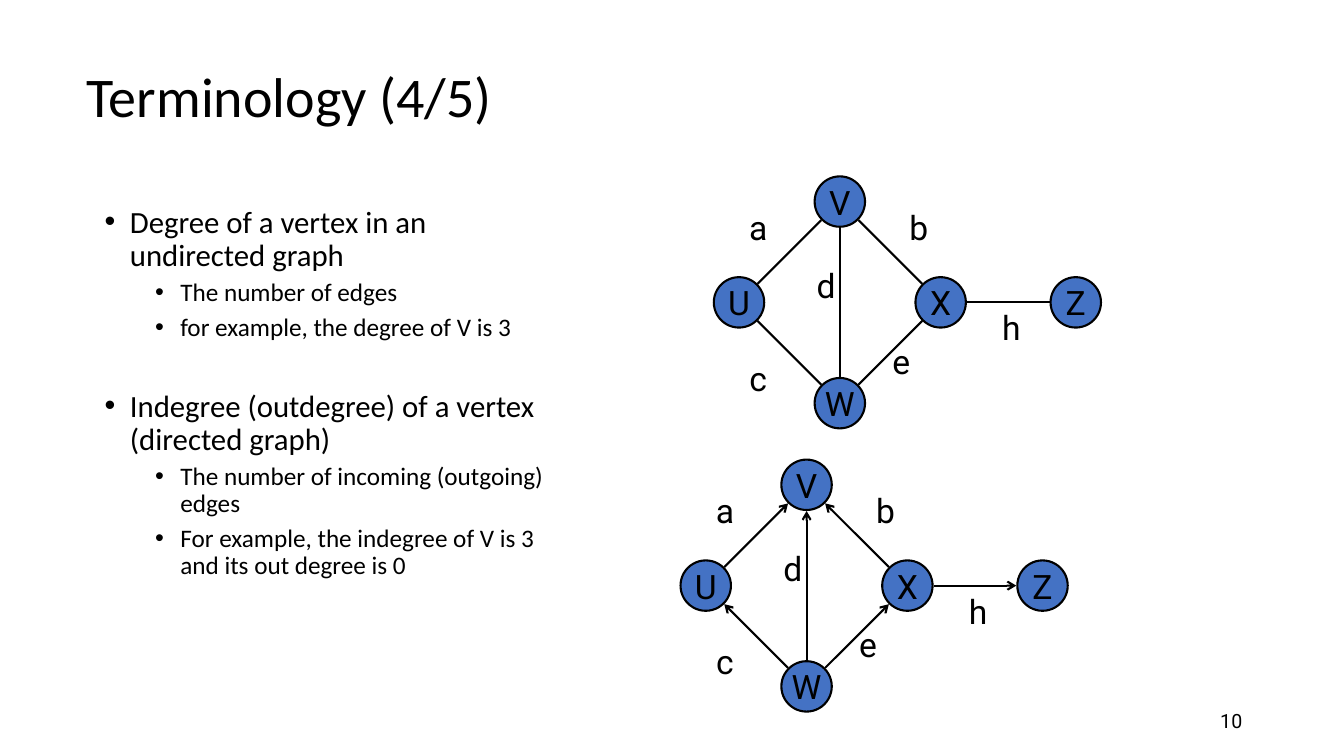
from math import hypot

from lxml.etree import SubElement
from pptx import Presentation
from pptx.dml.color import RGBColor
from pptx.enum.shapes import MSO_CONNECTOR, MSO_SHAPE
from pptx.enum.text import MSO_ANCHOR, MSO_AUTO_SIZE, PP_ALIGN
from pptx.oxml.ns import qn
from pptx.util import Inches, Pt

BLACK = RGBColor(0x00, 0x00, 0x00)
WHITE = RGBColor(0xFF, 0xFF, 0xFF)
BLUE = RGBColor(0x44, 0x72, 0xC4)

DIAMETER = 0.5
EDGE_GAP = 0.26  # from a vertex centre to the end of an edge

# Offsets in inches from the top left corner of each graph
VERTICES = {"X": (2, 1), "U": (0, 1), "V": (1, 0), "W": (1, 2), "Z": (3.34, 1)}
# Label, source vertex, target vertex, label offset
EDGES = [
    ("a", "U", "V", (0.25, 0.25)),
    ("c", "W", "U", (0.25, 1.75)),
    ("b", "X", "V", (1.84, 0.25)),
    ("e", "W", "X", (1.67, 1.58)),
    ("d", "W", "V", (0.92, 0.83)),
    ("h", "X", "Z", (2.76, 1.25)),
]
# Left, top, directed
GRAPHS = [(7.08, 1.75, False), (6.75, 4.56, True)]

# Level, space before in points, text
BULLETS = [
    (0, 0, "Degree of a vertex in an undirected graph"),
    (1, 5, "The number of edges"),
    (1, 5, "for example, the degree of V is 3"),
    (0, 35, "Indegree (outdegree) of a vertex (directed graph)"),
    (1, 5, "The number of incoming (outgoing) edges"),
    (1, 5, "For example, the indegree of V is 3 and its out degree is 0"),
]


def write(paragraph, text, size, font="Roboto", align=PP_ALIGN.CENTER):
    paragraph.alignment = align
    span = paragraph.add_run()
    span.text = text
    span.font.size = Pt(size)
    span.font.name = font
    span.font.color.rgb = BLACK


def add_label(page, left, top, width, height):
    box = page.shapes.add_textbox(
        Inches(left), Inches(top), Inches(width), Inches(height))
    box.text_frame.word_wrap = True
    return box.text_frame


deck = Presentation()
deck.slide_width = Inches(13.33)
deck.slide_height = Inches(7.5)
page = deck.slides.add_slide(deck.slide_layouts[5])
page.background.fill.solid()
page.background.fill.fore_color.rgb = WHITE

# Title
title = page.shapes.title
title.left, title.top = Inches(0.76), Inches(0.36)
title.width, title.height = Inches(5.41), Inches(1.25)
title.text_frame.vertical_anchor = MSO_ANCHOR.MIDDLE
title.text_frame.auto_size = MSO_AUTO_SIZE.NONE
heading = title.text_frame.paragraphs[0]
heading.line_spacing = 0.9
write(heading, "Terminology (4/5)", 40, "Calibri", PP_ALIGN.LEFT)

# Definitions
definitions = add_label(page, 0.94, 2, 4.58, 4.83)
for index, (level, space, text) in enumerate(BULLETS):
    para = definitions.add_paragraph() if index else definitions.paragraphs[0]
    para.level = level
    para.line_spacing = 0.9
    para.space_before = Pt(space)
    write(para, text, 18 if level else 22, "Calibri", PP_ALIGN.LEFT)
    properties = para._p.get_or_add_pPr()
    properties.set("marL", str(Inches(0.25 + 0.5 * level)))
    properties.set("indent", str(Inches(-0.25)))
    SubElement(properties, qn("a:buFont"), typeface="Arial")
    SubElement(properties, qn("a:buChar"), char="•")

# Undirected and directed graphs
for left, top, directed in GRAPHS:
    centres = {}
    for name, (across, down) in VERTICES.items():
        vertex = page.shapes.add_shape(
            MSO_SHAPE.OVAL, Inches(left + across), Inches(top + down),
            Inches(DIAMETER), Inches(DIAMETER))
        vertex.shadow.inherit = False
        vertex.fill.solid()
        vertex.fill.fore_color.rgb = BLUE
        vertex.line.color.rgb = BLACK
        vertex.line.width = Pt(1.5)
        vertex.text_frame.word_wrap = False
        vertex.text_frame.vertical_anchor = MSO_ANCHOR.MIDDLE
        write(vertex.text_frame.paragraphs[0], name, 24)
        centres[name] = (left + across + DIAMETER / 2, top + down + DIAMETER / 2)

    for name, source, target, (across, down) in EDGES:
        (x1, y1), (x2, y2) = centres[source], centres[target]
        share = EDGE_GAP / hypot(x2 - x1, y2 - y1)
        dx, dy = (x2 - x1) * share, (y2 - y1) * share
        edge = page.shapes.add_connector(
            MSO_CONNECTOR.STRAIGHT, Inches(x1 + dx), Inches(y1 + dy),
            Inches(x2 - dx), Inches(y2 - dy))
        edge.line.color.rgb = BLACK
        edge.line.width = Pt(1.5)
        if directed:
            SubElement(edge.line._get_or_add_ln(), qn("a:tailEnd"), type="arrow")
        SubElement(edge._element.spPr, qn("a:effectLst"))
        label = add_label(page, left + across, top + down, 0.38, 0.5)
        write(label.paragraphs[0], name, 24)

# Page number
number = add_label(page, 9.42, 6.95, 3, 0.4)
number.vertical_anchor = MSO_ANCHOR.MIDDLE
write(number.paragraphs[0], "10", 14, align=PP_ALIGN.RIGHT)

deck.save("out.pptx")
